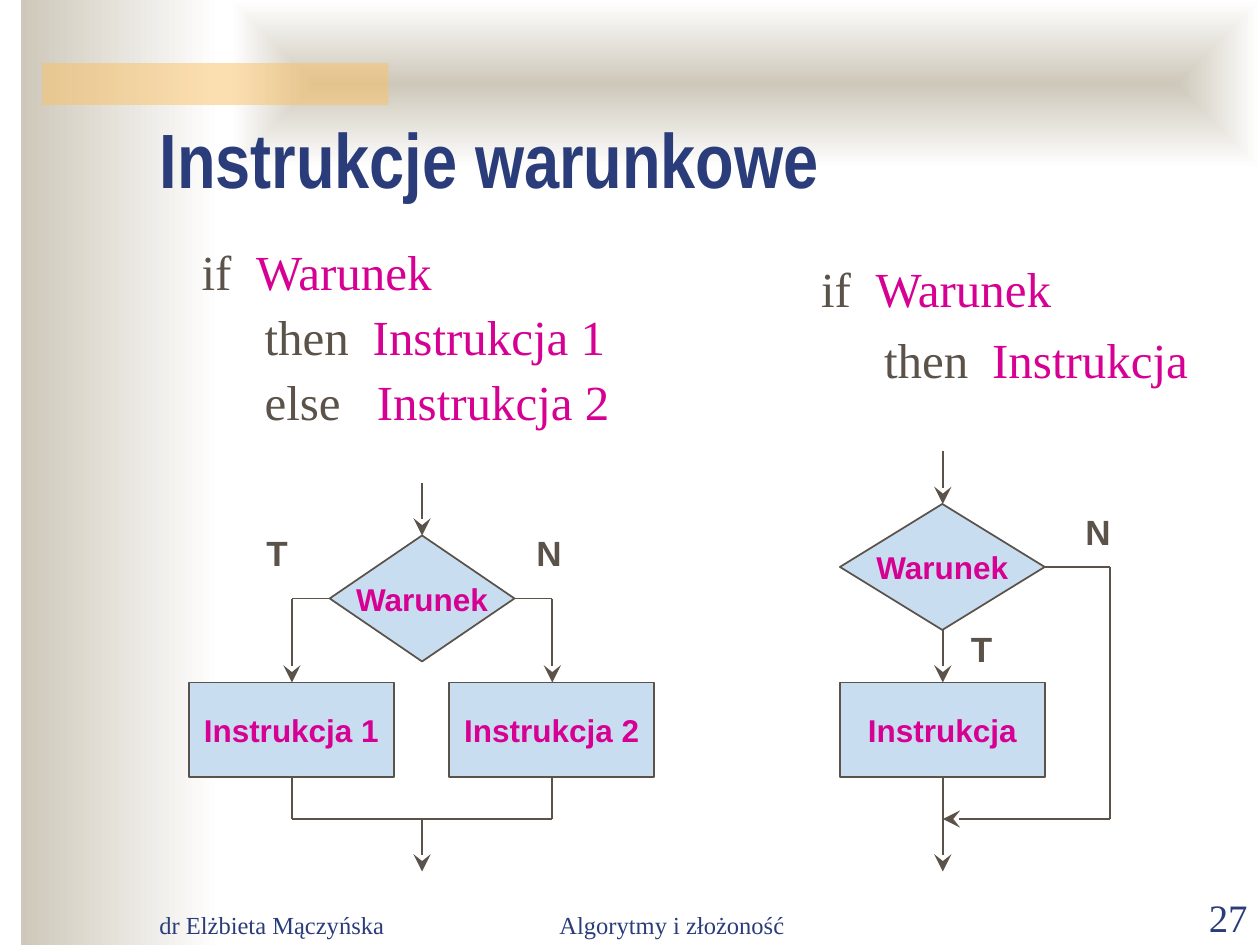
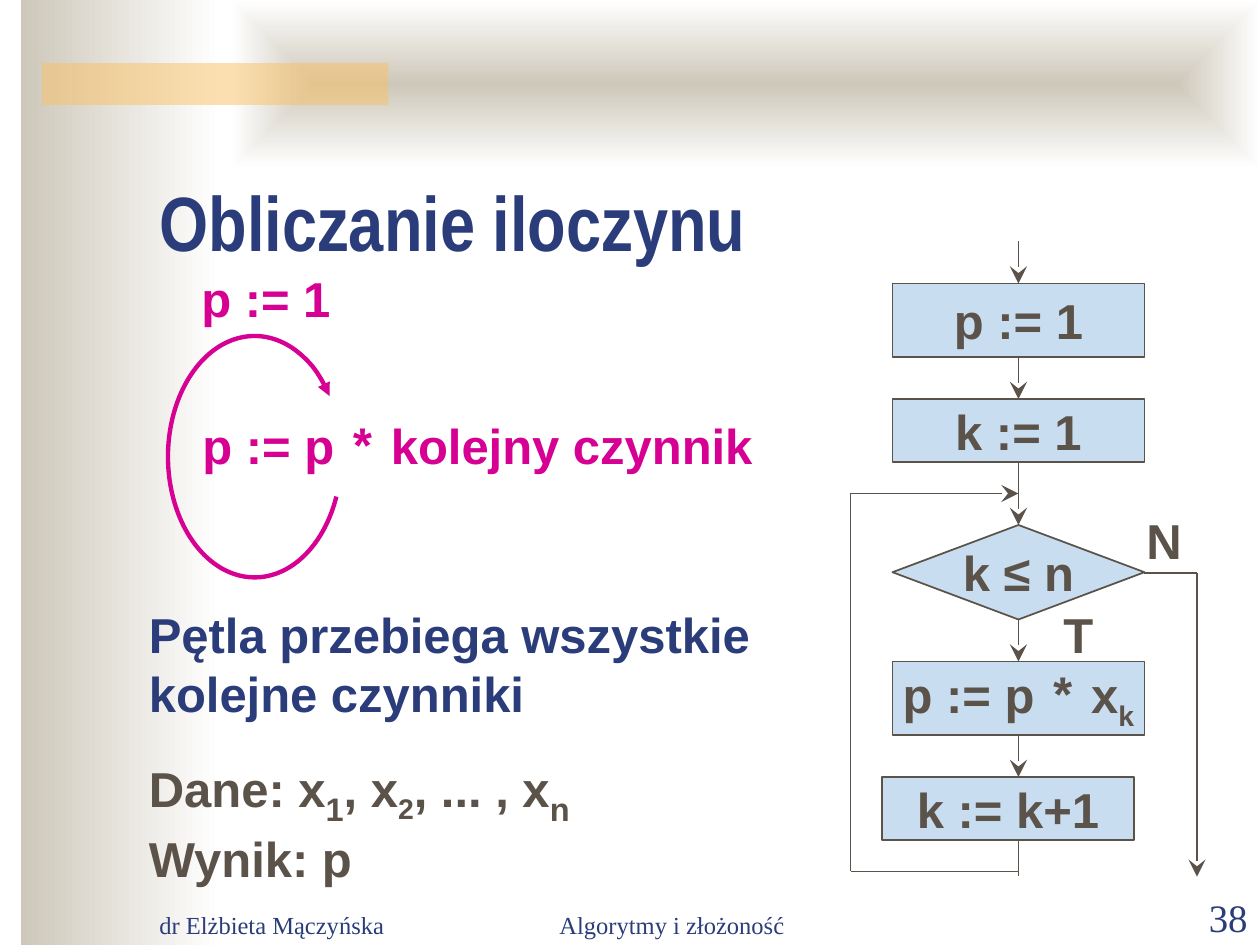
import dataclasses
from typing import Any, NamedTuple

import lxml.etree
import pptx
import pptx.dml.color
import pptx.enum.dml
import pptx.enum.shapes
import pptx.enum.text
import pptx.oxml.ns
import pptx.util

SCALE = 7620  # EMU per px, 120 px to the inch
MSO = pptx.enum.shapes.MSO_SHAPE
ALIGN = pptx.enum.text.PP_ALIGN
ANCHOR = pptx.enum.text.MSO_ANCHOR
qn = pptx.oxml.ns.qn


@dataclasses.dataclass(frozen=True)
class Style:
    size: float
    color: str
    font: str = "Arial"
    bold: bool = True
    baseline: int = 0


NAVY, BROWN, PINK = "2A3D7A", "5B5249", "D60093"
SERIF = "Times New Roman"


@dataclasses.dataclass(frozen=True)
class Theme:
    box: str = "C9DDF1"
    line: str = BROWN
    loop: str = PINK
    sand: str = "CEC8BA"
    white: str = "FFFFFF"
    accent: str = "FAC164"
    title: Style = Style(44, NAVY, "Arial Narrow")
    footer: Style = Style(14, NAVY, SERIF, False)
    number: Style = Style(22.2, NAVY, SERIF, False)
    keyword: Style = Style(28, BROWN, SERIF, False)
    operand: Style = Style(28, PINK, SERIF, False)
    node: Style = Style(18, PINK)
    branch: Style = Style(20, BROWN)
    big: Style = Style(28, BROWN)
    formula: Style = Style(28, PINK)
    note: Style = Style(28, NAVY)


THEME = Theme()


class Box(NamedTuple):
    x: int
    y: int
    w: int
    h: int


class Run(NamedTuple):
    text: str
    style: Style


class Node(NamedTuple):
    box: Box
    runs: list[Run]
    kind: Any = MSO.RECTANGLE


class Label(NamedTuple):
    box: Box
    run: Run


class Route(NamedTuple):
    points: list[tuple[int, int]]
    arrow: bool = True


class Statement(NamedTuple):
    keyword_x: int
    keyword: str
    operand_x: int
    operand: str


def emu(px: int) -> int:
    return pptx.util.Emu(px * SCALE)


def rgb(color: str) -> pptx.dml.color.RGBColor:
    return pptx.dml.color.RGBColor.from_string(color)


def place(sp: Any, box: Box) -> None:
    sp.left, sp.top, sp.width, sp.height = (emu(v) for v in box)


# Text

def write_runs(p: Any, runs: list[Run]) -> None:
    for text, style in runs:
        r = p.add_run()
        r.text = text
        r.font.size = pptx.util.Pt(style.size)
        r.font.name = style.font
        r.font.bold = style.bold
        r.font.color.rgb = rgb(style.color)
        if style.baseline:
            r.font._element.set("baseline", str(style.baseline * 1000))


def add_text(shapes: Any, box: Box, paragraphs: list[list[Run]], align: Any = ALIGN.LEFT,
             anchor: Any = ANCHOR.TOP) -> None:
    tf = shapes.add_textbox(*(emu(v) for v in box)).text_frame
    tf.word_wrap = True
    tf.vertical_anchor = anchor
    for i, runs in enumerate(paragraphs):
        p = tf.paragraphs[0] if i == 0 else tf.add_paragraph()
        p.alignment = align
        write_runs(p, runs)


def set_title(s: Any, text: str, box: Box) -> None:
    place(s.shapes.title, box)
    tf = s.shapes.title.text_frame
    tf.auto_size = pptx.enum.text.MSO_AUTO_SIZE.NONE
    tf.vertical_anchor = ANCHOR.BOTTOM
    p = tf.paragraphs[0]
    p.alignment = ALIGN.LEFT
    write_runs(p, [Run(text, THEME.title)])


def set_statements(sp: Any, box: Box, statements: list[Statement], spacing: float) -> None:
    place(sp, box)
    tf = sp.text_frame
    tf.auto_size = pptx.enum.text.MSO_AUTO_SIZE.NONE
    for i, st in enumerate(statements):
        p = tf.paragraphs[0] if i == 0 else tf.add_paragraph()
        p.line_spacing = spacing
        p.space_before = pptx.util.Pt(7 if i else 0)
        # The tab after the keyword stops at the hanging indent
        ppr = p._p.get_or_add_pPr()
        ppr.set("marL", str(emu(st.operand_x)))
        ppr.set("indent", str(emu(st.keyword_x - st.operand_x)))
        lxml.etree.SubElement(ppr, qn("a:buNone"))
        write_runs(p, [Run(st.keyword + "\t", THEME.keyword), Run(st.operand, THEME.operand)])


# Flowchart parts

def add_node(shapes: Any, node: Node) -> None:
    sp = shapes.add_shape(node.kind, *(emu(v) for v in node.box))
    sp.shadow.inherit = False
    sp.fill.solid()
    sp.fill.fore_color.rgb = rgb(THEME.box)
    sp.line.color.rgb = rgb(THEME.line)
    sp.line.width = pptx.util.Pt(1)
    tf = sp.text_frame
    tf.word_wrap = False
    tf.vertical_anchor = ANCHOR.MIDDLE
    tf.paragraphs[0].alignment = ALIGN.CENTER
    write_runs(tf.paragraphs[0], node.runs)


def add_tail(sp: Any, kind: str, size: str) -> None:
    lxml.etree.SubElement(sp.line._get_or_add_ln(), qn("a:tailEnd"), type=kind, w=size, len=size)


def add_route(shapes: Any, route: Route) -> None:
    legs = list(zip(route.points, route.points[1:]))
    for i, (start, end) in enumerate(legs):
        c = shapes.add_connector(pptx.enum.shapes.MSO_CONNECTOR.STRAIGHT,
                                 *(emu(v) for v in start + end))
        c.line.color.rgb = rgb(THEME.line)
        c.line.width = pptx.util.Pt(1)
        if route.arrow and i == len(legs) - 1:
            add_tail(c, "stealth", "lg")
        lxml.etree.SubElement(c.element.spPr, qn("a:effectLst"))


def add_flowchart(s: Any, nodes: list[Node], routes: list[Route], labels: list[Label]) -> None:
    shapes = s.shapes.add_group_shape().shapes
    for node in nodes:
        add_node(shapes, node)
    for route in routes:
        add_route(shapes, route)
    for box, run in labels:
        add_text(shapes, box, [[run]])


# Shared background and footers

def add_master_bands(prs: Any, s: Any) -> None:
    tree = prs.slide_master.shapes.element
    boxes = [Box(20, 0, 190, 900), Box(220, 0, 980, 160), Box(40, 60, 330, 40)]
    side, top, accent = bands = [
        s.shapes.add_shape(MSO.RECTANGLE, *(emu(v) for v in box)) for box in boxes]
    for i, sp in enumerate(bands):
        sp.shadow.inherit = False
        sp.line.fill.background()
        tree.insert(2 + i, sp.element)
    for sp in (side, top):
        sp.fill.gradient()
        sp.fill.gradient_angle = 0
        for stop, position, color in zip(sp.fill.gradient_stops, (0, 1), (THEME.sand, THEME.white)):
            stop.position = position
            stop.color.rgb = rgb(color)
    # The top band fades from its centre outwards
    grad = top.element.spPr.find(qn("a:gradFill"))
    grad.remove(grad.find(qn("a:lin")))
    focus = lxml.etree.SubElement(grad, qn("a:path"), {"path": "rect"})
    lxml.etree.SubElement(focus, qn("a:fillToRect"), {edge: "50000" for edge in "ltrb"})
    accent.fill.solid()
    accent.fill.fore_color.rgb = rgb(THEME.accent)
    color = accent.element.spPr.find(qn("a:solidFill")).find(qn("a:srgbClr"))
    lxml.etree.SubElement(color, qn("a:alpha"), val="50000")


def add_footers(s: Any, number: int) -> None:
    for x, w, text, style, align in (
            (140, 250, "dr Elżbieta Mączyńska", THEME.footer, ALIGN.LEFT),
            (450, 380, "Algorytmy i złożoność", THEME.footer, ALIGN.CENTER),
            (1080, 120, str(number), THEME.number, ALIGN.RIGHT)):
        add_text(s.shapes, Box(x, 841, w, 60), [[Run(text, style)]], align, ANCHOR.BOTTOM)


# Slides

def build_conditionals(s: Any) -> None:
    set_title(s, "Instrukcje warunkowe", Box(140, 110, 1020, 90))
    full, short = list(s.placeholders)[1:]
    condition = Statement(0, "if", 52, "Warunek")
    set_statements(full, Box(180, 230, 479, 200), [
        condition, Statement(60, "then", 163, "Instrukcja 1"),
        Statement(60, "else", 167, "Instrukcja 2")], 0.9)
    set_statements(short, Box(770, 240, 390, 140), [
        condition, Statement(60, "then", 163, "Instrukcja")], 1.0)

    def node(text: str, *box: int, kind: Any = MSO.RECTANGLE) -> Node:
        return Node(Box(*box), [Run(text, THEME.node)], kind)

    yes, no = Run("T", THEME.branch), Run("N", THEME.branch)
    mid, left, right = 402, 278, 526
    add_flowchart(
        s,
        [node("Warunek", 314, 510, 176, 120, kind=MSO.DIAMOND),
         node("Instrukcja 1", 180, 650, 195, 90),
         node("Instrukcja 2", 428, 650, 195, 90)],
        [Route([(mid, 460), (mid, 510)]),
         Route([(314, 570), (left, 570), (left, 650)]),
         Route([(490, 570), (right, 570), (right, 650)]),
         Route([(left, 740), (left, 780), (right, 780), (right, 740)], False),
         Route([(mid, 780), (mid, 830)])],
        [Label(Box(242, 500, 50, 53), yes), Label(Box(499, 500, 50, 53), no)])

    mid, bypass = 898, 1057
    add_flowchart(
        s,
        [node("Warunek", 800, 480, 195, 120, kind=MSO.DIAMOND),
         node("Instrukcja", 800, 650, 195, 90)],
        [Route([(mid, y1), (mid, y2)]) for y1, y2 in ((430, 480), (600, 650), (740, 830))]
        + [Route([(995, 540), (bypass, 540), (bypass, 780), (mid, 780)])],
        [Label(Box(913, 592, 50, 53), yes), Label(Box(1022, 480, 50, 53), no)])


def build_product(s: Any) -> None:
    set_title(s, "Obliczanie iloczynu", Box(140, 110, 1020, 150))
    big, formula = THEME.big, THEME.formula
    sub = dataclasses.replace(big, baseline=-25)
    large_sub = dataclasses.replace(sub, size=32)

    def product(factor: str, style: Style) -> list[Run]:
        star = dataclasses.replace(style, font="Courier New")
        return [Run("p := p ", style), Run("*", star), Run(f" {factor}", style)]

    # Loop in words
    add_text(s.shapes, Box(180, 250, 170, 68), [[Run("p := 1", formula)]])
    add_text(s.shapes, Box(181, 390, 580, 68), [product("kolejny czynnik", formula)])
    arc = s.shapes.add_shape(MSO.ARC, *(emu(v) for v in Box(160, 320, 165, 230)))
    arc.shadow.inherit = False
    arc.fill.background()
    arc.line.color.rgb = rgb(THEME.loop)
    arc.line.width = pptx.util.Pt(2.5)
    for i, degrees in enumerate((26, 321)):
        arc.adjustments[i] = degrees * 0.6
    add_tail(arc, "triangle", "med")
    add_text(s.shapes, Box(130, 570, 600, 125),
             [[Run("Pętla przebiega wszystkie kolejne czynniki", THEME.note)]])
    add_text(s.shapes, Box(130, 710, 480, 142), [
        [Run("Dane: x", big), Run("1", large_sub), Run(", x", big), Run("2", sub),
         Run(", ... , x", big), Run("n", large_sub)],
        [Run("Wynik: p", big)]])

    # Loop as a flowchart
    mid, back, out = 970, 810, 1140
    steps = ((230, 270), (340, 380), (440, 500), (590, 630), (700, 740))
    add_flowchart(
        s,
        [Node(Box(850, 270, 240, 70), [Run("p := 1", big)]),
         Node(Box(850, 380, 240, 60), [Run("k := 1", big)]),
         Node(Box(850, 500, 240, 90), [Run("k ≤ n", big)], MSO.FLOWCHART_DECISION),
         Node(Box(850, 630, 240, 70), product("x", big) + [Run("k", sub)]),
         Node(Box(840, 740, 240, 60), [Run("k := k+1", big)])],
        [Route([(mid, y1), (mid, y2)]) for y1, y2 in steps]
        + [Route([(mid, 800), (mid, 834)], False),
           Route([(mid, 830), (back, 830), (back, 470), (mid, 470)]),
           Route([(1090, 546), (out, 546), (out, 835)])],
        [Label(Box(1080, 480, 60, 68), Run("N", big)),
         Label(Box(1001, 570, 60, 68), Run("T", big))])


def main() -> None:
    prs = pptx.Presentation()
    prs.slide_width, prs.slide_height = emu(1200), emu(900)
    two_content, title_only = prs.slide_layouts[3], prs.slide_layouts[5]
    for layout, number, build in ((two_content, 27, build_conditionals),
                                  (title_only, 38, build_product)):
        s = prs.slides.add_slide(layout)
        if len(prs.slides) == 1:
            add_master_bands(prs, s)
        add_footers(s, number)
        build(s)
    prs.save("out.pptx")


if __name__ == "__main__":
    main()
